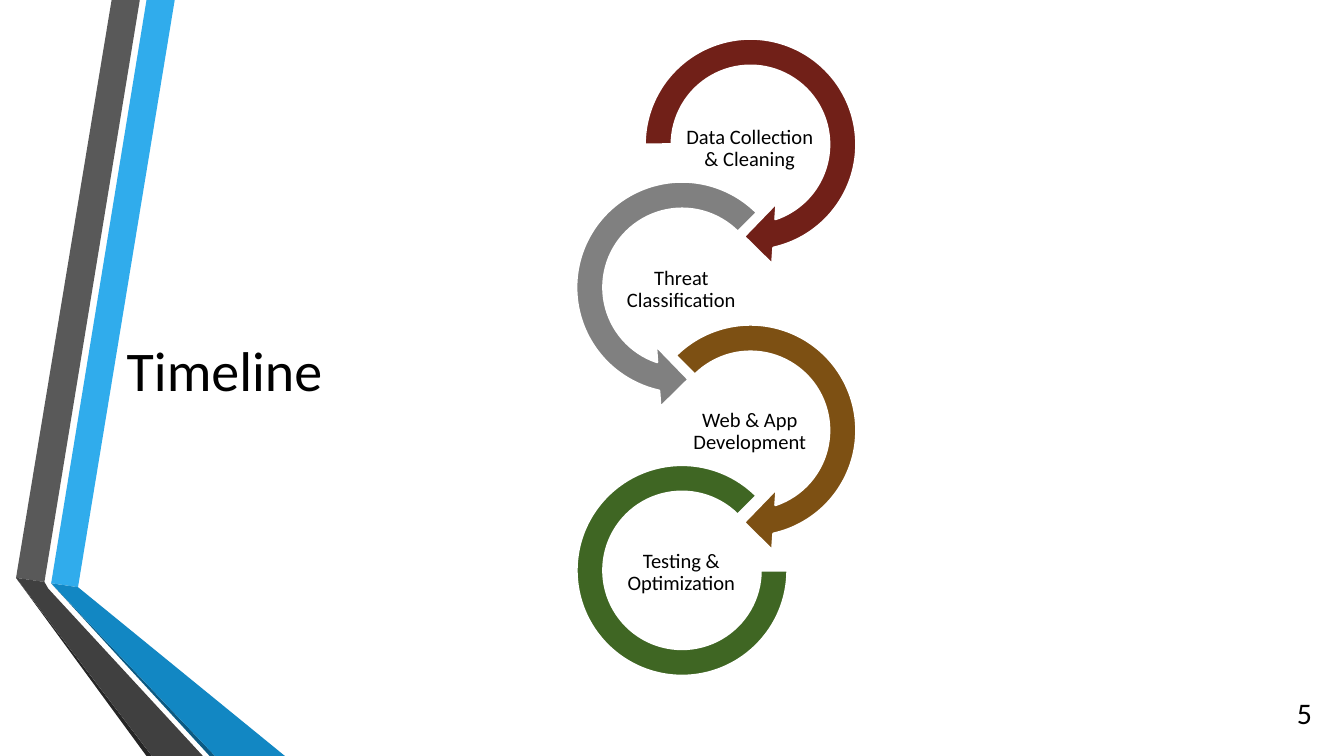
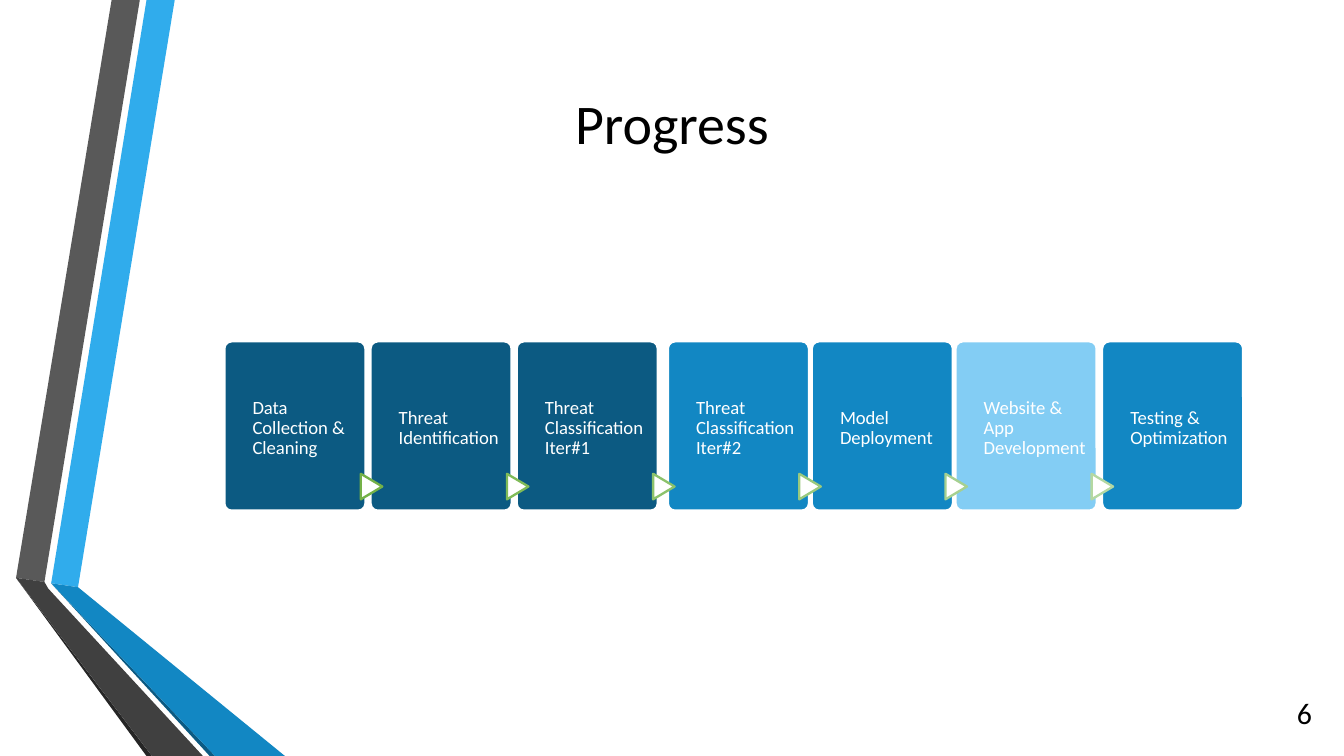
"""Build the timeline and progress slides."""
from dataclasses import dataclass
from pptx import Presentation
from pptx.dml.color import RGBColor
from pptx.enum.shapes import MSO_SHAPE
from pptx.enum.text import MSO_ANCHOR, PP_ALIGN
from pptx.util import Pt


@dataclass(frozen=True)
class Theme:
    font: str = "Calibri"
    black: str = "000000"
    white: str = "FFFFFF"
    sky: str = "30ACEC"
    blue: str = "1287C3"
    navy: str = "0C5A82"
    pale: str = "83CDF4"
    ash: str = "595959"
    coal: str = "404040"
    soot: str = "262626"
    red: str = "712018"
    gray: str = "808080"
    brown: str = "7D5013"
    green: str = "3F6623"
    title: int = 30
    page: int = 16
    step: int = 11
    card: int = 10
    edge: float = 1.25


theme = Theme()


def paint(shape, fill, line=None):
    shape.shadow.inherit = False
    shape.fill.solid()
    shape.fill.fore_color.rgb = RGBColor.from_string(fill)
    if line:
        shape.line.color.rgb = RGBColor.from_string(line)
        shape.line.width = Pt(theme.edge)
    else:
        shape.line.fill.background()


def write(slide, text, box, size, color=theme.black, align=PP_ALIGN.CENTER,
          anchor=MSO_ANCHOR.MIDDLE, inset=(7.2, 7.2, 7.2, 7.2), space=1.0):
    frame = slide.shapes.add_textbox(*map(Pt, box)).text_frame
    frame.word_wrap = True
    frame.vertical_anchor = anchor
    frame.margin_left, frame.margin_top, frame.margin_right, frame.margin_bottom = map(Pt, inset)
    frame.text = text
    para = frame.paragraphs[0]
    para.alignment = align
    para.line_spacing = space
    font = para.runs[0].font
    font.name = theme.font
    font.size = Pt(size)
    font.color.rgb = RGBColor.from_string(color)


deck = Presentation()
deck.slide_width, deck.slide_height = Pt(720), Pt(405)

gray_tip, gray_bend = (8.6, 309.6), (23.8, 311.8)
blue_tip, blue_bend = (27.4, 312.5), (41.8, 314.6)
bands = [
    (theme.sky, [blue_tip, blue_bend, (93.6, 0), (78.5, 0)]),
    (theme.ash, [(74.9, 0), (59.8, 0), gray_tip, gray_bend]),
    (theme.soot, [gray_tip, (78.5, 405), (81.4, 405)]),
    (theme.navy, [blue_tip, (112.3, 405), (115.2, 405)]),
    (theme.blue, [blue_tip, (115.2, 405), (152.6, 405), blue_bend]),
    (theme.coal, [(108.7, 405), (25.9, 315.4), gray_bend, gray_tip, (81.4, 405)]),
]
heads = [
    ("Timeline", (16.6, 172.8, 207.4, 45.4), "5"),
    ("Progress", (0, 40.3, 720, 45.4), "6"),
]
slides = []
for title, box, page in heads:
    slide = deck.slides.add_slide(deck.slide_layouts[6])
    slides.append(slide)
    group = slide.shapes.add_group_shape()
    for color, points in bands:
        tenths = [(x * 10, y * 10) for x, y in points]
        pen = group.shapes.build_freeform(*tenths[0], scale=Pt(0.1))
        pen.add_line_segments(tenths[1:], close=True)
        paint(pen.convert_to_shape(), color)
    write(slide, title, box, theme.title, anchor=MSO_ANCHOR.TOP)
    write(slide, page, (677.5, 370.8, 32.4, 21.6), theme.page, align=PP_ALIGN.RIGHT)

timeline, progress = slides

right, left, ring, arc = 336.2, 299.5, 131.8, 113
turn = (0.11, 11.42)
steps = [
    ("Data Collection & Cleaning", MSO_SHAPE.CIRCULAR_ARROW, right, theme.red,
     (*turn, 45, 108, 0.125)),
    ("Threat Classification", MSO_SHAPE.LEFT_CIRCULAR_ARROW, left, theme.gray,
     (*turn, 63, 189, 0.125)),
    ("Web & App Development", MSO_SHAPE.CIRCULAR_ARROW, right, theme.brown,
     (*turn, 45, 135, 0.125)),
    ("Testing & Optimization", MSO_SHAPE.BLOCK_ARC, left, theme.green,
     (0, 189, 0.127)),
]
for i, (text, kind, x, color, bends) in enumerate(steps):
    box = (x, 11.5 + 76.6 * i, ring, ring)
    if kind == MSO_SHAPE.BLOCK_ARC:
        box = (x + (ring - arc) / 2, 249.1, arc, arc)
    shape = timeline.shapes.add_shape(kind, *map(Pt, box))
    for j, bend in enumerate(bends):
        shape.adjustments[j] = bend
    paint(shape, color, theme.white)
    write(timeline, text, (x + 28.8, 61.2 + 75.8 * i, 73.4, 36.7), theme.step,
          inset=(0.7, 0.7, 0.7, 0.7), space=0.9)

cards = [
    ("Data Collection & Cleaning", 120.2, theme.navy, None),
    ("Threat Identification", 198.5, theme.navy, "74B148"),
    ("Threat Classification Iter#1", 276.8, theme.navy, "80BB58"),
    ("Threat Classification Iter#2", 357.8, theme.blue, "8CC26B"),
    ("Model Deployment", 434.9, theme.blue, "99C97D"),
    ("Website & App Development", 511.9, theme.pale, "A6D090"),
    ("Testing & Optimization", 590.4, theme.blue, "B4D8A2"),
]
top, wide, high = 182.9, 75.6, 90.7
for i, (text, x, color, edge) in enumerate(cards):
    card = progress.shapes.add_shape(
        MSO_SHAPE.ROUNDED_RECTANGLE, Pt(x), Pt(top), Pt(wide), Pt(high))
    card.adjustments[0] = 0.05
    paint(card, color, theme.white)
    if edge:
        mark = progress.shapes.add_shape(
            MSO_SHAPE.FLOWCHART_EXTRACT, Pt(113.9 + 78.3 * i), Pt(254.9), Pt(13.7), Pt(11.5))
        mark.rotation = 90
        paint(mark, theme.white, edge)
    write(progress, text, (x + 15.1, top, 56.2, high), theme.card, theme.white,
          PP_ALIGN.LEFT, inset=(0, 2.9, 0, 0), space=0.9)

deck.save("out.pptx")
